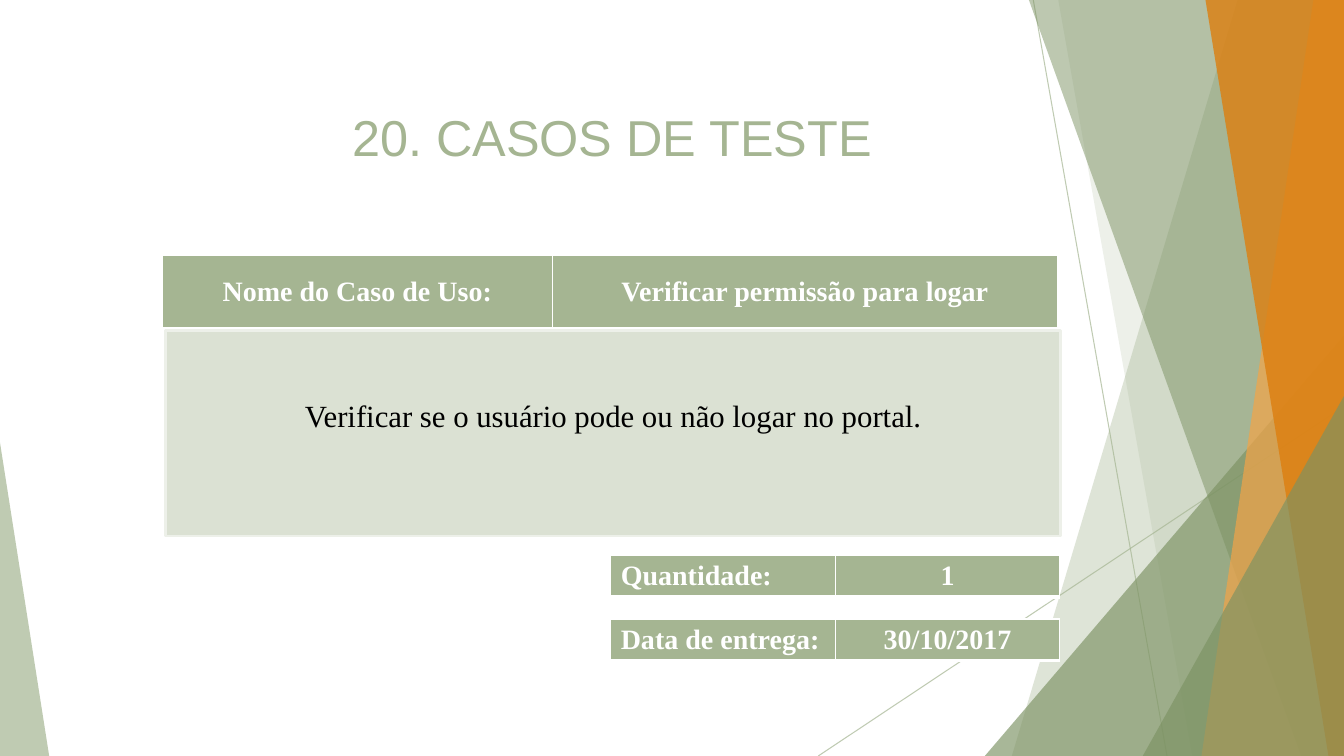
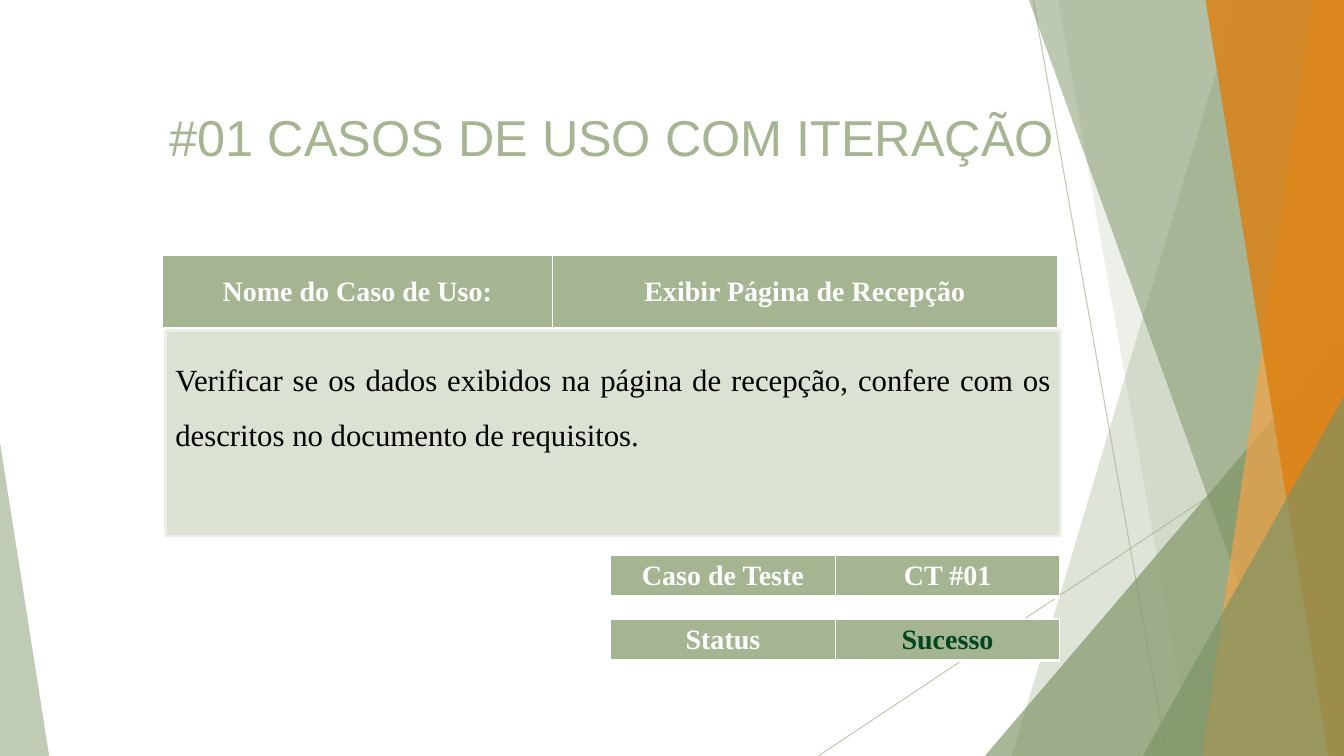
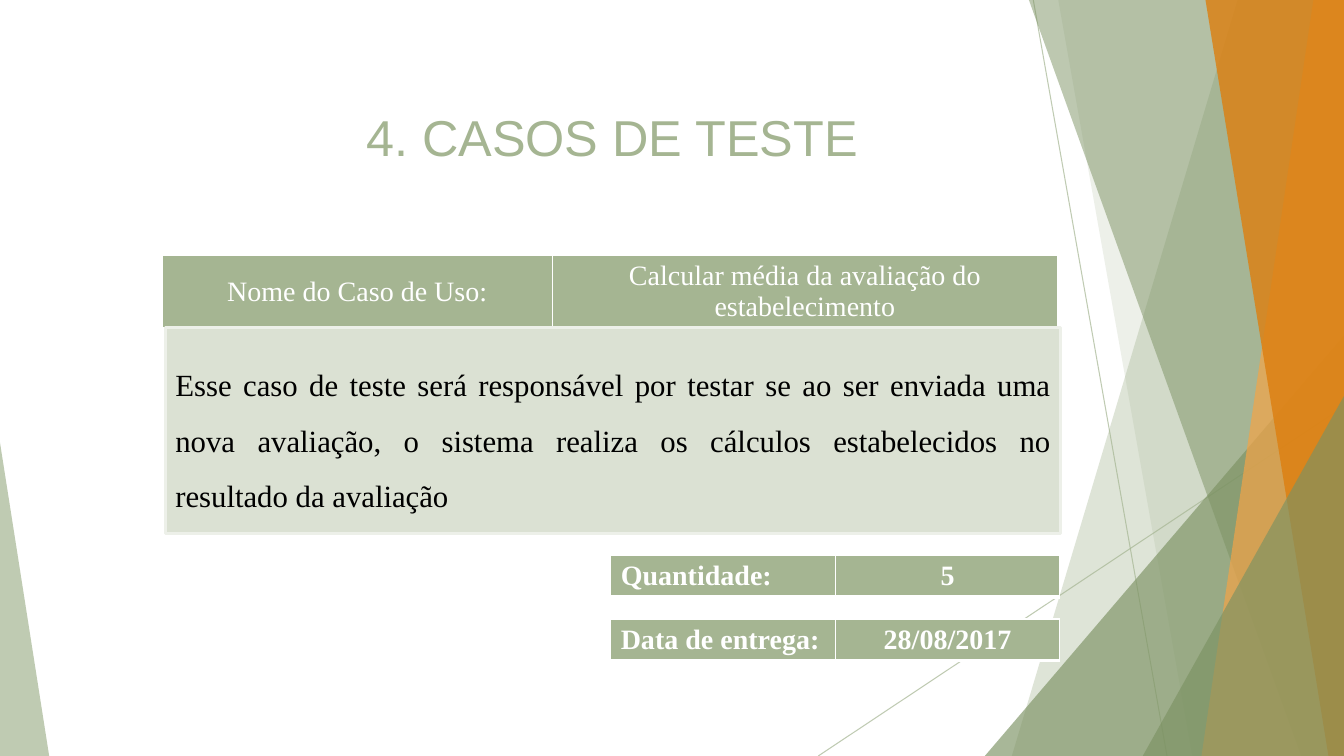
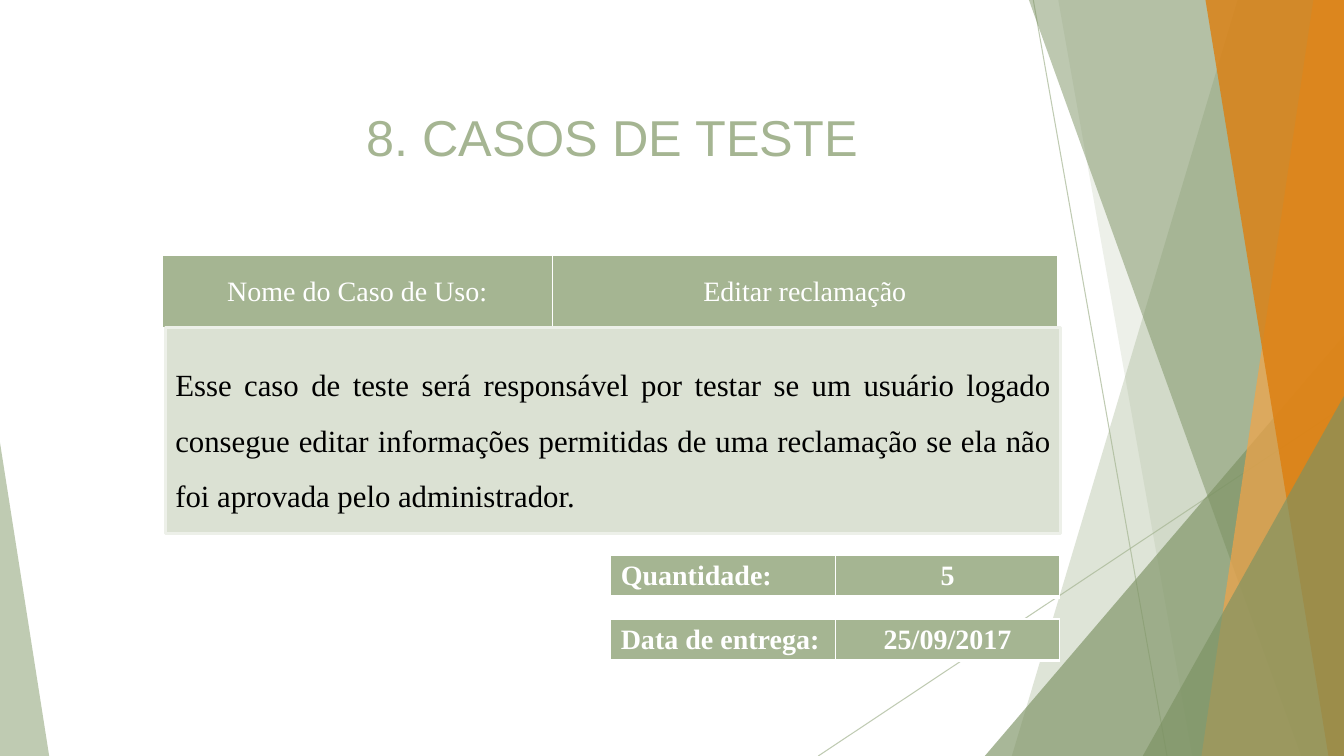
import dataclasses
import typing

import lxml.etree
import pptx
import pptx.dml.color
import pptx.enum.shapes
import pptx.enum.text
import pptx.oxml.ns
import pptx.util

Cm = pptx.util.Cm
Pt = pptx.util.Pt
RGBColor = pptx.dml.color.RGBColor
Align = pptx.enum.text.PP_ALIGN
Anchor = pptx.enum.text.MSO_ANCHOR
qn = pptx.oxml.ns.qn

# Theme
SAGE = RGBColor(0xA5, 0xB5, 0x92)
MOSS = RGBColor(0x7C, 0x92, 0x63)
APRICOT = RGBColor(0xF3, 0xA4, 0x47)
ORANGE = RGBColor(0xDD, 0x7E, 0x0E)
PALE_SAGE = RGBColor(0xDB, 0xE1, 0xD3)
MIST = RGBColor(0xED, 0xF0, 0xE9)
DARK_GREEN = RGBColor(0x00, 0x46, 0x20)
WHITE = RGBColor(0xFF, 0xFF, 0xFF)
BLACK = RGBColor(0x00, 0x00, 0x00)
TITLE_FONT = "Arial"
BODY_FONT = "Times New Roman"

# Page geometry
SLIDE_WIDTH, SLIDE_HEIGHT = Cm(33.87), Cm(19.05)
TITLE_ONLY = 5
DETAIL_TOPS = (Cm(14), Cm(15.6))


@dataclasses.dataclass(frozen=True)
class Band:
    """Slanted edge from top to bottom, filled out to the right slide edge."""
    top_x: float
    bottom_x: float
    color: RGBColor
    opacity: int


@dataclasses.dataclass(frozen=True)
class Corner:
    """Triangle standing on the bottom slide edge."""
    left: float
    top: float
    width: float
    apex: int
    color: RGBColor
    opacity: int


@dataclasses.dataclass(frozen=True)
class CellText:
    text: str
    align: Align = Align.CENTER
    bold: bool = True
    color: RGBColor = WHITE


@dataclasses.dataclass(frozen=True)
class TestCase:
    title: str
    use_case: str
    description: str
    details: tuple[tuple[CellText, CellText], ...]
    header_bold: bool = False
    description_align: Align = Align.JUSTIFY
    box_top: float = 8.26
    bottom_margin: float = 0.13


DECORATION = (
    Band(31.19, 25.5, SAGE, 36),
    Band(26.67, 30.05, SAGE, 20),
    Corner(24.82, 8.46, 9.05, 1, MOSS, 66),
    Band(25.93, 32.79, MOSS, 50),
    Band(33.1, 30.28, APRICOT, 70),
    Band(30.38, 33.48, ORANGE, 80),
    Corner(28.8, 9.98, 5.07, 1, MOSS, 66),
    Corner(0, 11.15, 1.24, 0, SAGE, 70),
)
THIN_LINES = ((26.04, 0, 29.41, 19.05), (33.87, 10.24, 20.62, 19.05))


def delivery(quantity: str, date: str) -> tuple[tuple[CellText, CellText], ...]:
    return (
        (CellText("Quantidade:", Align.LEFT), CellText(quantity)),
        (CellText("Data de entrega:", Align.LEFT), CellText(date)),
    )


TEST_CASES = (
    TestCase(
        "20. CASOS DE TESTE",
        "Verificar permissão para logar",
        "Verificar se o usuário pode ou não logar no portal.",
        delivery("1", "30/10/2017"),
        header_bold=True,
        description_align=Align.CENTER,
        box_top=8.33,
        bottom_margin=1.52,
    ),
    TestCase(
        "#01 CASOS DE USO COM ITERAÇÃO",
        "Exibir Página de Recepção",
        "Verificar se os dados exibidos na página de recepção, confere com os "
        "descritos no documento de requisitos.",
        (
            (CellText("Caso de Teste"), CellText("CT #01")),
            (CellText("Status"), CellText("Sucesso", color=DARK_GREEN)),
        ),
        header_bold=True,
        box_top=8.33,
        bottom_margin=1.92,
    ),
    TestCase(
        "4. CASOS DE TESTE",
        "Calcular média da avaliação do estabelecimento",
        "Esse caso de teste será responsável por testar se ao ser enviada uma "
        "nova avaliação, o sistema realiza os cálculos estabelecidos no "
        "resultado da avaliação",
        delivery("5", "28/08/2017"),
    ),
    TestCase(
        "8. CASOS DE TESTE",
        "Editar reclamação",
        "Esse caso de teste será responsável por testar se um usuário logado "
        "consegue editar informações permitidas de uma reclamação se ela não "
        "foi aprovada pelo administrador.",
        delivery("5", "25/09/2017"),
    ),
)


# Shared helpers
def set_opacity(shape: typing.Any, percent: int) -> None:
    for color in shape.element.spPr.iter(qn("a:srgbClr")):
        lxml.etree.SubElement(color, qn("a:alpha")).set("val", str(percent * 1000))


def write(paragraph: typing.Any, text: str, font: str, size: int,
          color: RGBColor, align: Align, bold: bool = False) -> None:
    paragraph.alignment = align
    run = paragraph.add_run()
    run.text = text
    run.font.name = font
    run.font.size = Pt(size)
    run.font.bold = bold
    run.font.color.rgb = color


# Background decoration
def draw_piece(shapes: typing.Any, piece: Band | Corner) -> None:
    if isinstance(piece, Band):
        builder = shapes.build_freeform(Cm(piece.top_x), 0)
        builder.add_line_segments([
            (SLIDE_WIDTH, 0),
            (SLIDE_WIDTH, SLIDE_HEIGHT),
            (Cm(piece.bottom_x), SLIDE_HEIGHT),
        ])
        shape = builder.convert_to_shape()
    else:
        shape = shapes.add_shape(
            pptx.enum.shapes.MSO_SHAPE.ISOSCELES_TRIANGLE,
            Cm(piece.left), Cm(piece.top),
            Cm(piece.width), SLIDE_HEIGHT - Cm(piece.top))
        shape.adjustments[0] = piece.apex
    shape.shadow.inherit = False
    shape.fill.solid()
    shape.fill.fore_color.rgb = piece.color
    shape.line.fill.background()
    set_opacity(shape, piece.opacity)


def decorate_layout(slide: typing.Any) -> None:
    """Draw the decoration on a slide, then hand it to the slide's layout."""
    group = slide.shapes.add_group_shape()
    for ends in THIN_LINES:
        line = group.shapes.add_connector(
            pptx.enum.shapes.MSO_CONNECTOR.STRAIGHT, *(Cm(value) for value in ends))
        line.line.color.rgb = SAGE
        line.line.width = Pt(0.75)
        lxml.etree.SubElement(line.element.spPr, qn("a:effectLst"))
        set_opacity(line, 70)
    for piece in DECORATION:
        draw_piece(group.shapes, piece)
    # Keep shape ids unique inside the layout
    for number, properties in enumerate(group.element.iter(qn("p:cNvPr")), start=100):
        properties.set("id", str(number))
    slide.slide_layout.element.cSld.spTree.insert(2, group.element)


# Slide parts
def set_borders(cell: typing.Any) -> None:
    cell_properties = cell._tc.get_or_add_tcPr()
    for side, width in (("L", 1), ("R", 1), ("T", 1), ("B", 3)):
        border = lxml.etree.SubElement(cell_properties, qn(f"a:ln{side}"))
        border.set("w", str(Pt(width)))
        fill = lxml.etree.SubElement(border, qn("a:solidFill"))
        lxml.etree.SubElement(fill, qn("a:srgbClr")).set("val", str(WHITE))


def add_row_table(slide: typing.Any, left: int, top: int, widths: tuple[int, ...],
                  height: int, texts: tuple[CellText, ...], anchor: Anchor) -> None:
    table = slide.shapes.add_table(
        1, len(texts), left, top, sum(widths), height).table
    table.first_row = False
    table.horz_banding = False
    for column, width, cell, content in zip(
            table.columns, widths, table.rows[0].cells, texts):
        column.width = width
        set_borders(cell)
        cell.fill.solid()
        cell.fill.fore_color.rgb = SAGE
        cell.vertical_anchor = anchor
        write(cell.text_frame.paragraphs[0], content.text, BODY_FONT, 20,
              content.color, content.align, content.bold)


def add_title(slide: typing.Any, text: str) -> None:
    title = slide.shapes.title
    title.left, title.top, title.width, title.height = (
        Cm(1.93), Cm(2.54), Cm(27), Cm(1.8))
    frame = title.text_frame
    frame.auto_size = pptx.enum.text.MSO_AUTO_SIZE.NONE
    frame.vertical_anchor = Anchor.MIDDLE
    write(frame.paragraphs[0], text, TITLE_FONT, 36, SAGE, Align.CENTER)


def add_description(slide: typing.Any, case: TestCase) -> None:
    box = slide.shapes.add_shape(
        pptx.enum.shapes.MSO_SHAPE.RECTANGLE,
        Cm(4.17), Cm(case.box_top), Cm(22.56), Cm(5.18))
    box.shadow.inherit = False
    box.fill.solid()
    box.fill.fore_color.rgb = PALE_SAGE
    box.line.color.rgb = MIST
    box.line.width = Pt(2)
    frame = box.text_frame
    frame.word_wrap = True
    frame.vertical_anchor = Anchor.MIDDLE
    frame.margin_bottom = Cm(case.bottom_margin)
    paragraph = frame.paragraphs[0]
    paragraph.line_spacing = 1.5
    write(paragraph, case.description, BODY_FONT, 22, BLACK, case.description_align)


def fill_slide(slide: typing.Any, case: TestCase) -> None:
    add_title(slide, case.title)
    header = tuple(CellText(text, bold=case.header_bold)
                   for text in ("Nome do Caso de Uso:", case.use_case))
    add_row_table(slide, Cm(4.09), Cm(6.43), (Cm(9.83), Cm(12.73)), Cm(1.85),
                  header, Anchor.MIDDLE)
    add_description(slide, case)
    for top, texts in zip(DETAIL_TOPS, case.details):
        add_row_table(slide, Cm(15.39), top, (Cm(5.66), Cm(5.66)), Cm(1.04),
                      texts, Anchor.TOP)


def main() -> None:
    presentation = pptx.Presentation()
    presentation.slide_width = SLIDE_WIDTH
    presentation.slide_height = SLIDE_HEIGHT
    layout = presentation.slide_layouts[TITLE_ONLY]
    slides = [presentation.slides.add_slide(layout) for _ in TEST_CASES]
    decorate_layout(slides[0])
    for slide, case in zip(slides, TEST_CASES):
        fill_slide(slide, case)
    presentation.save("out.pptx")


if __name__ == "__main__":
    main()
